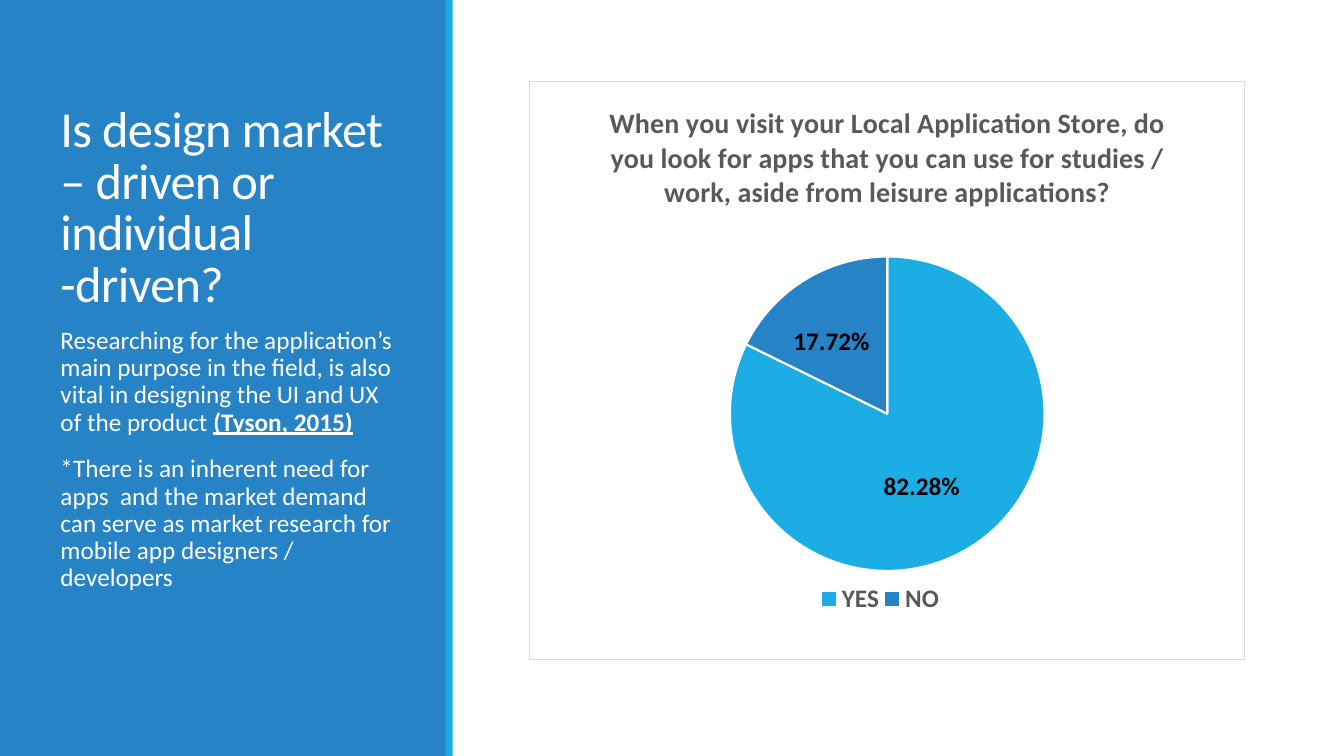
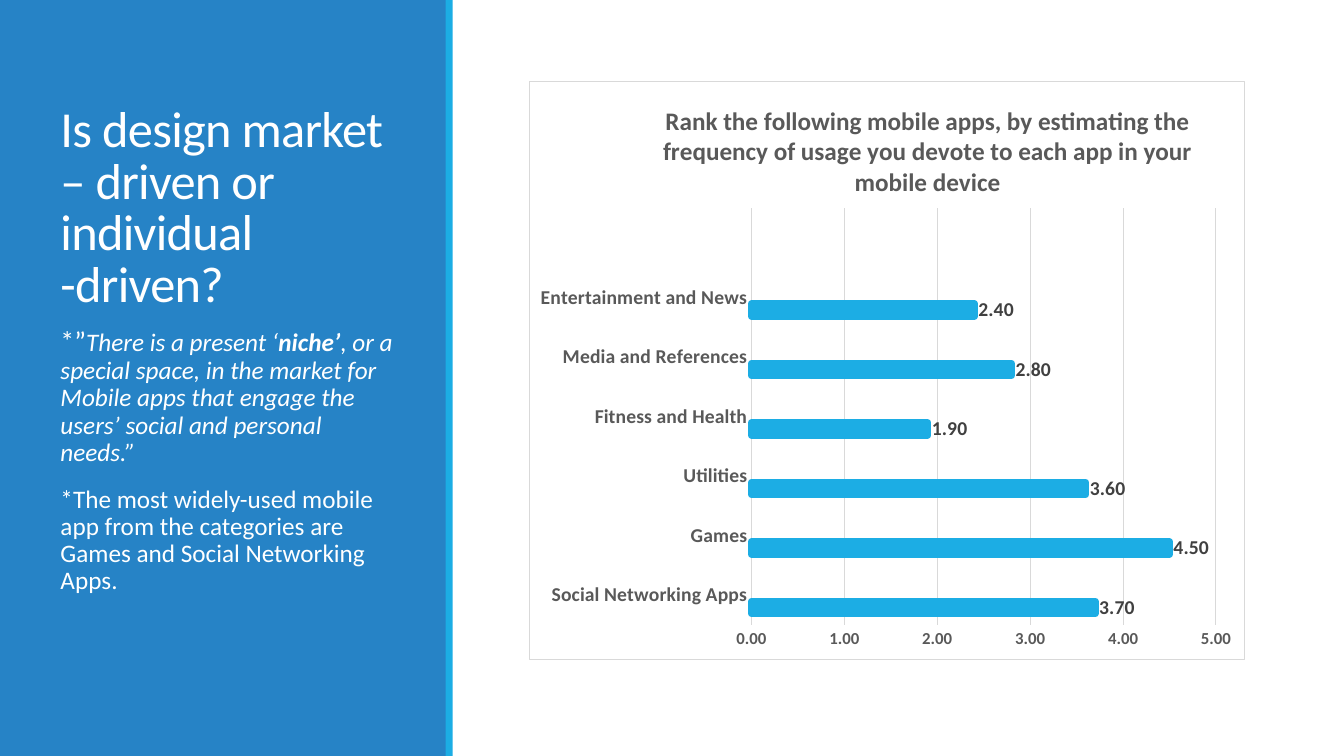
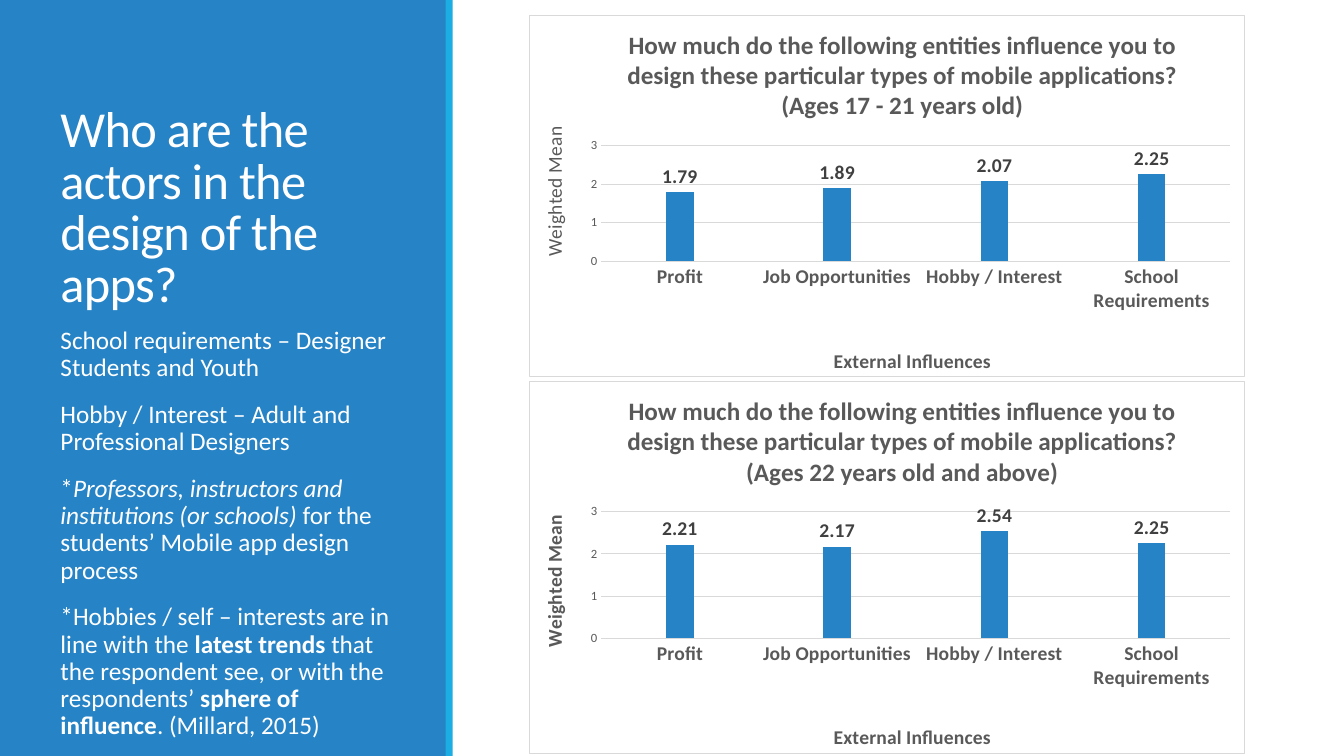
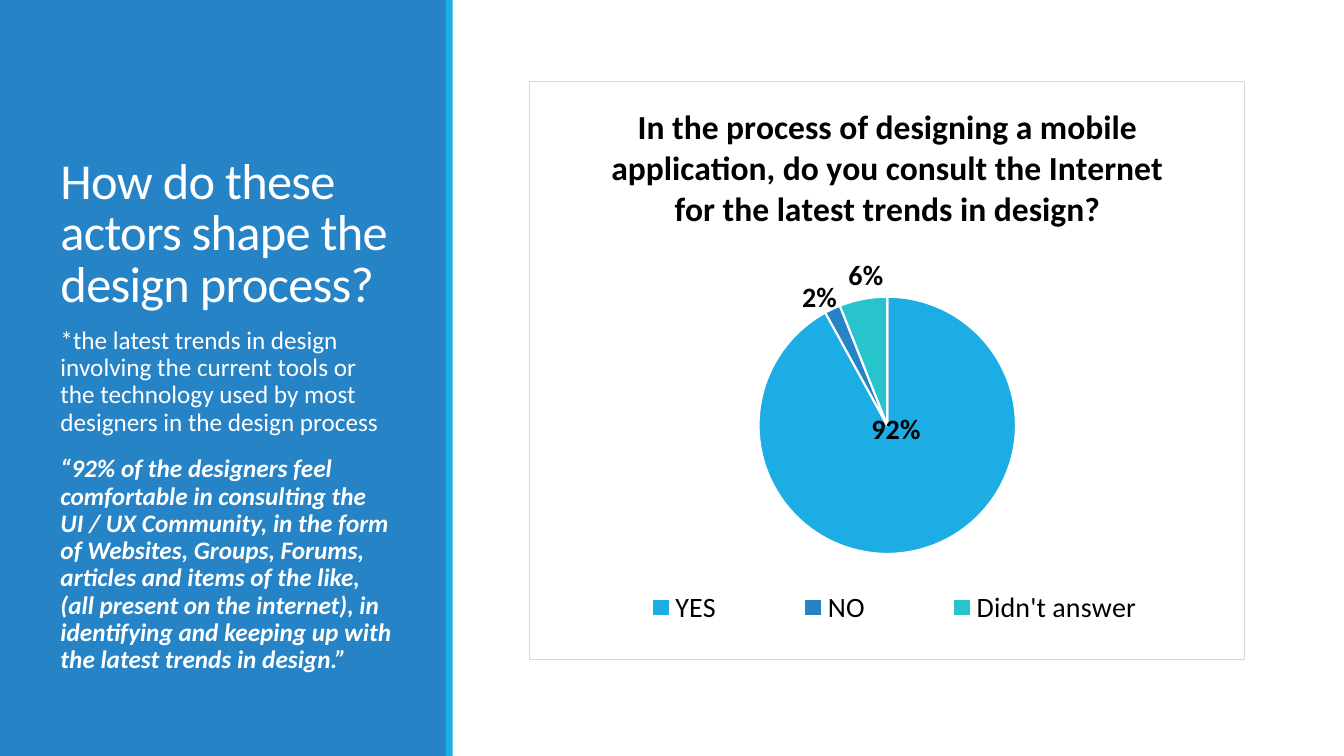
from lxml import etree
from pptx import Presentation
from pptx.chart.data import CategoryChartData
from pptx.dml.color import RGBColor
from pptx.enum.chart import XL_CHART_TYPE, XL_LABEL_POSITION, XL_LEGEND_POSITION, XL_TICK_MARK
from pptx.enum.shapes import MSO_SHAPE
from pptx.enum.text import MSO_ANCHOR, MSO_AUTO_SIZE, PP_ALIGN
from pptx.oxml import parse_xml
from pptx.oxml.ns import nsdecls, qn
from pptx.util import Inches, Pt

PIE, BAR, COLUMN = XL_CHART_TYPE.PIE, XL_CHART_TYPE.BAR_CLUSTERED, XL_CHART_TYPE.COLUMN_CLUSTERED
CENTER, OUTSIDE = XL_LABEL_POSITION.CENTER, XL_LABEL_POSITION.OUTSIDE_END
BOTTOM, NO_TICK = XL_LEGEND_POSITION.BOTTOM, XL_TICK_MARK.NONE
RECT = MSO_SHAPE.RECTANGLE
ANCHOR_TOP, ANCHOR_BOTTOM = MSO_ANCHOR.TOP, MSO_ANCHOR.BOTTOM
NO_FIT, LEFT = MSO_AUTO_SIZE.NONE, PP_ALIGN.LEFT

FONT = "Calibri"
COLORS = {"panel": "2683C6", "accent": "1CADE4", "teal": "28C4CC", "white": "FFFFFF",
          "grid": "D9D9D9", "text": "595959", "label": "404040", "black": "000000"}
SERIES_COLORS = ("accent", "panel", "teal")
PANEL = (0, 0, 4.43, 7.5)
CHART_BOX = (5.25, 0.8, 7.1, 5.75)


def rgb(name):
    return RGBColor.from_string(COLORS[name])


def style_font(font, size, color, bold=False):
    font.name, font.size, font.bold = FONT, Pt(size), bold
    font.color.rgb = rgb(color)


def place(sp, left, top, width, height):
    sp.left, sp.top, sp.width, sp.height = (Inches(v) for v in (left, top, width, height))


# ---- Shared bands, kept on the layout behind the placeholders ----
def add_bands(layout, slide):
    bands = ((PANEL, "panel"), ((4.42, 0, 0.07, 7.5), "accent"))
    for i, (box, color) in enumerate(bands):
        sp = slide.shapes.add_shape(RECT, *(Inches(v) for v in box))
        sp.shadow.inherit = False
        sp.fill.solid()
        sp.fill.fore_color.rgb = rgb(color)
        sp.line.fill.background()
        layout.shapes.element.insert(2 + i, sp.element)


# ---- Side panel: title and body ----
def add_run(p, text, size, marks=""):
    r = p.add_run()
    r.text = text
    style_font(r.font, size, "white", "b" in marks)
    r.font.italic, r.font.underline = "i" in marks, "u" in marks
    return r


def prepare_frame(sp, anchor):
    tf = sp.text_frame
    tf.word_wrap, tf.auto_size, tf.vertical_anchor = True, NO_FIT, anchor
    return tf


def fill_panel(slide, box, title, paragraphs, body_height):
    left, top, width, _ = box
    text_left, text_width = left + 0.5, width - 0.93
    title_sp, body_sp = slide.shapes.title, slide.placeholders[1]

    place(title_sp, text_left, top + 0.65, text_width, 2.5)
    p = prepare_frame(title_sp, ANCHOR_BOTTOM).paragraphs[0]
    p.alignment, p.line_spacing = LEFT, 0.85
    add_run(p, title, 36).font._element.set("spc", "-50")

    place(body_sp, text_left, top + 3.2, text_width, body_height)
    tf = prepare_frame(body_sp, ANCHOR_TOP)
    for i, runs in enumerate(paragraphs):
        p = tf.add_paragraph() if i else tf.paragraphs[0]
        p.line_spacing, p.space_before, p.space_after = 0.9, Pt(12), Pt(2)
        pPr = p._p.get_or_add_pPr()
        pPr.set("marL", "0")
        pPr.set("indent", "0")
        etree.SubElement(pPr, qn("a:buNone"))
        for text, marks, *size in runs:
            add_run(p, text, size[0] if size else 18, marks)


# ---- Chart parts ----
def set_layout(parent, spot, index=0, edge=True):
    """Give a chart part a manual position, in fractions of the chart."""
    for old in parent.findall(qn("c:layout")):
        parent.remove(old)
    layout = parse_xml(f"<c:layout {nsdecls('c')}><c:manualLayout/></c:layout>")
    entries = [("layoutTarget", "inner")] if parent.tag == qn("c:plotArea") else []
    if edge:
        entries += [("xMode", "edge"), ("yMode", "edge")]
    entries += zip("xywh", spot)
    for tag, value in entries:
        etree.SubElement(layout[0], qn(f"c:{tag}")).set("val", str(value))
    overlay = parent.find(qn("c:overlay"))
    if overlay is not None:
        overlay.addprevious(layout)
    else:
        parent.insert(index, layout)


def write_title(owner, text, size, bold, color="text", spot=None):
    p = owner.text_frame.paragraphs[0]
    r = p.add_run()
    r.text = text
    style_font(r.font, size, color, bold)
    if spot:
        set_layout(owner._element, spot)


def add_chart(slide, box, kind, cats, series, fmt, title, title_size, plot_spot,
              title_color="text", title_spot=None):
    data = CategoryChartData(number_format=fmt)
    data.categories = cats
    for i, values in enumerate(series):
        data.add_series(f"Series {i + 1}", values)
    chart = slide.shapes.add_chart(kind, *(Inches(v) for v in box), data).chart
    chart.font.name, chart.font.size = FONT, Pt(10)
    chart.has_legend = False
    chart.has_title = True
    write_title(chart.chart_title, title, title_size, True, title_color, title_spot)

    # White frame with a thin square border
    space = chart._chartSpace
    if space.find(qn("c:roundedCorners")) is None:
        space.insert(0, parse_xml(f'<c:roundedCorners {nsdecls("c")} val="0"/>'))
    chart_el = space.find(qn("c:chart"))
    chart_el.addnext(parse_xml(
        f'<c:spPr {nsdecls("c", "a")}><a:solidFill><a:srgbClr val="{COLORS["white"]}"/></a:solidFill>'
        f'<a:ln w="9525"><a:solidFill><a:srgbClr val="{COLORS["grid"]}"/></a:solidFill></a:ln></c:spPr>'))
    set_layout(chart_el.find(qn("c:plotArea")), plot_spot)
    return chart


def add_pie(slide, box, cats, values, fmt, title, title_size, title_color, plot_spot,
            label_size, labels, legend_size, legend_color, legend_bold, legend_spot):
    chart = add_chart(slide, box, PIE, cats, [values], fmt, title, title_size, plot_spot, title_color)
    ser = chart.plots[0].series[0]
    for i, (position, _) in enumerate(labels):
        point = ser.points[i]
        point.format.fill.solid()
        point.format.fill.fore_color.rgb = rgb(SERIES_COLORS[i])
        point.format.line.color.rgb = rgb("white")
        point.format.line.width = Pt(1.5)
        style_font(point.data_label.font, label_size, "black", True)
        point.data_label.position = position
    for dLbl, (_, offset) in zip(ser._element.xpath("c:dLbls/c:dLbl"), labels):
        set_layout(dLbl, offset, 1, edge=False)
    chart.has_legend = True
    chart.legend.position, chart.legend.include_in_layout = BOTTOM, False
    style_font(chart.legend.font, legend_size, legend_color, legend_bold)
    set_layout(chart.legend._element, legend_spot)


def add_bars(slide, box, kind, cats, values, shown, fmt, label_fmt, title, title_spot, plot_spot,
             gap, overlap, top_value, tick_size, tick_bold):
    """Bars with one filled series out of three, so each bar keeps its third of the slot."""
    empty = [None] * len(cats)
    series = [values if i == shown else empty for i in range(3)]
    chart = add_chart(slide, box, kind, cats, series, fmt, title, 18, plot_spot, title_spot=title_spot)
    plot = chart.plots[0]
    plot.gap_width, plot.overlap, plot.vary_by_categories = gap, overlap, False
    for ser, color in zip(plot.series, SERIES_COLORS):
        ser.format.fill.solid()
        ser.format.fill.fore_color.rgb = rgb(color)
    labels = plot.series[shown].data_labels
    labels.show_value, labels.position = True, OUTSIDE
    labels.number_format, labels.number_format_is_linked = label_fmt, False
    style_font(labels.font, 14, "label", True)

    cat, val = chart.category_axis, chart.value_axis
    for axis, size, bold in ((cat, 14, True), (val, tick_size, tick_bold)):
        axis.major_tick_mark = axis.minor_tick_mark = NO_TICK
        style_font(axis.tick_labels.font, size, "text", bold)
    cat.has_major_gridlines = False
    val.has_major_gridlines = True
    for line in (cat.format.line, val.major_gridlines.format.line):
        line.color.rgb = rgb("grid")
        line.width = Pt(0.75)
    val.format.line.fill.background()
    val.minimum_scale, val.maximum_scale, val.major_unit = 0, top_value, 1
    val.tick_labels.number_format, val.tick_labels.number_format_is_linked = fmt, False
    return chart


def add_influence_chart(slide, box, ages, values, plot_spot, mean_y, mean_bold):
    title = ("How much do the following entities influence you to design these "
             f"particular types of mobile applications? ({ages})")
    cats = ["Profit", "Job Opportunities", "Hobby / Interest", "School Requirements"]
    chart = add_bars(slide, box, COLUMN, cats, values, 1, "General", "General", title, (0.13, 0.02),
                     plot_spot, 219, -27, 3, 9, False)
    write_title(chart.category_axis.axis_title, "External Influences", 14, True, spot=(0.42, 0.91))
    mean = chart.value_axis.axis_title
    write_title(mean, "Weighted Mean", 14, mean_bold, spot=(0.01, mean_y))
    bodyPr = mean.text_frame._txBody.bodyPr
    bodyPr.set("rot", "-5400000")
    bodyPr.set("vert", "horz")


# ---- Slides ----
def market_pie_slide(slide):
    fill_panel(slide, PANEL, "Is design market – driven or individual -driven?", [
        [("Researching for the application’s main purpose in the field, is also vital in "
          "designing the UI and UX of the product ", ""), ("(Tyson, 2015)", "bu")],
        [("*There is an inherent need for apps  and the market demand can serve as market "
          "research for mobile app designers / developers", "")]], 3.7)
    add_pie(slide, CHART_BOX, ["YES", "NO"], [0.8228, 0.1772], "0.00%",
            "When you visit your Local Application Store, do you look for apps that you can use "
            "for studies / work, aside from leisure applications?", 20, "text",
            (0.28, 0.3, 0.44, 0.55), 18, [(CENTER, (-0.01, 0.01)), (CENTER, (-0.02, -0.01))],
            18, "text", True, (0.4, 0.86, 0.18, 0.07))


def market_rank_slide(slide):
    fill_panel(slide, PANEL, "Is design market – driven or individual -driven?", [
        [("*”", "", 20), ("There is a present ‘", "i"), ("niche’", "bi"),
         (", or a special space, in the market for Mobile apps that engage the users’ social "
          "and personal needs.”", "i")],
        [("*The most widely-used mobile app from the categories are Games and Social "
          "Networking Apps.", "")]], 3.7)
    cats = ["Social Networking Apps", "Games", "Utilities", "Fitness and Health",
            "Media and References", "Entertainment and News", ""]
    chart = add_bars(slide, CHART_BOX, BAR, cats, [3.7, 4.5, 3.6, 1.9, 2.8, 2.4, None], 0,
                     "#,##0.00", "0.00_);\\(0.00\\)",
                     "Rank the following mobile apps, by estimating the frequency of usage you "
                     "devote to each app in your mobile device", (0.18, 0.03),
                     (0.31, 0.22, 0.65, 0.72), 182, 0, 5, 12, True)
    line = chart.plots[0].series[0].format.line
    line.color.rgb = rgb("accent")
    line.width = Pt(5)


def actors_slide(slide):
    fill_panel(slide, PANEL, "Who are the actors in the design of the apps?", [
        [("School requirements – Designer Students and Youth", "")],
        [("Hobby / Interest – Adult and Professional Designers", "")],
        [("*", ""), ("Professors, instructors and institutions (or schools) ", "i"),
         ("for the students’ Mobile app design process", "")],
        [("*Hobbies / self – interests are in line with the ", ""), ("latest trends ", "b"),
         ("that the respondent see, or with the respondents’ ", ""),
         ("sphere of influence", "b"), (". (Millard, 2015)", "")]], 3.96)
    left, _, width, _ = CHART_BOX
    add_influence_chart(slide, (left, 0.15, width, 3.62), "Ages 17 - 21 years old",
                        [1.79, 1.89, 2.07, 2.25], (0.1, 0.36, 0.88, 0.32), 0.3, False)
    add_influence_chart(slide, (left, 3.78, width, 3.72), "Ages 22 years old and above",
                        [2.21, 2.17, 2.54, 2.25], (0.1, 0.35, 0.88, 0.34), 0.35, True)


def process_slide(slide):
    fill_panel(slide, PANEL, "How do these actors shape the design process?", [
        [("*the latest trends in design involving the current tools or the technology used by "
          "most designers in the design process", "")],
        [("“92% of the designers feel comfortable in consulting the UI / UX Community, in the "
          "form of Websites, Groups, Forums, articles and items of the like, (all present on "
          "the internet), in identifying and keeping up with the latest trends in design.”",
          "bi")]], 3.96)
    add_pie(slide, CHART_BOX, ["YES", "NO", "Didn't answer"], [0.92, 0.02, 0.06], "0%",
            "In the process of designing a mobile application, do you consult the Internet for "
            "the latest trends in design?", 24, "black", (0.32, 0.37, 0.36, 0.45), 20,
            [(CENTER, (-0.01, -0.1)), (OUTSIDE, (0.01, 0.02)), (OUTSIDE, (0.03, 0))],
            20, "black", False, (0.06, 0.87, 0.9, 0.08))


def main():
    prs = Presentation()
    prs.slide_width, prs.slide_height = Inches(13.33), Inches(7.5)
    layout = prs.slide_layouts[1]
    for i, build in enumerate((market_pie_slide, market_rank_slide, actors_slide, process_slide)):
        slide = prs.slides.add_slide(layout)
        if i == 0:
            add_bands(layout, slide)
        build(slide)
    prs.save("out.pptx")


if __name__ == "__main__":
    main()
